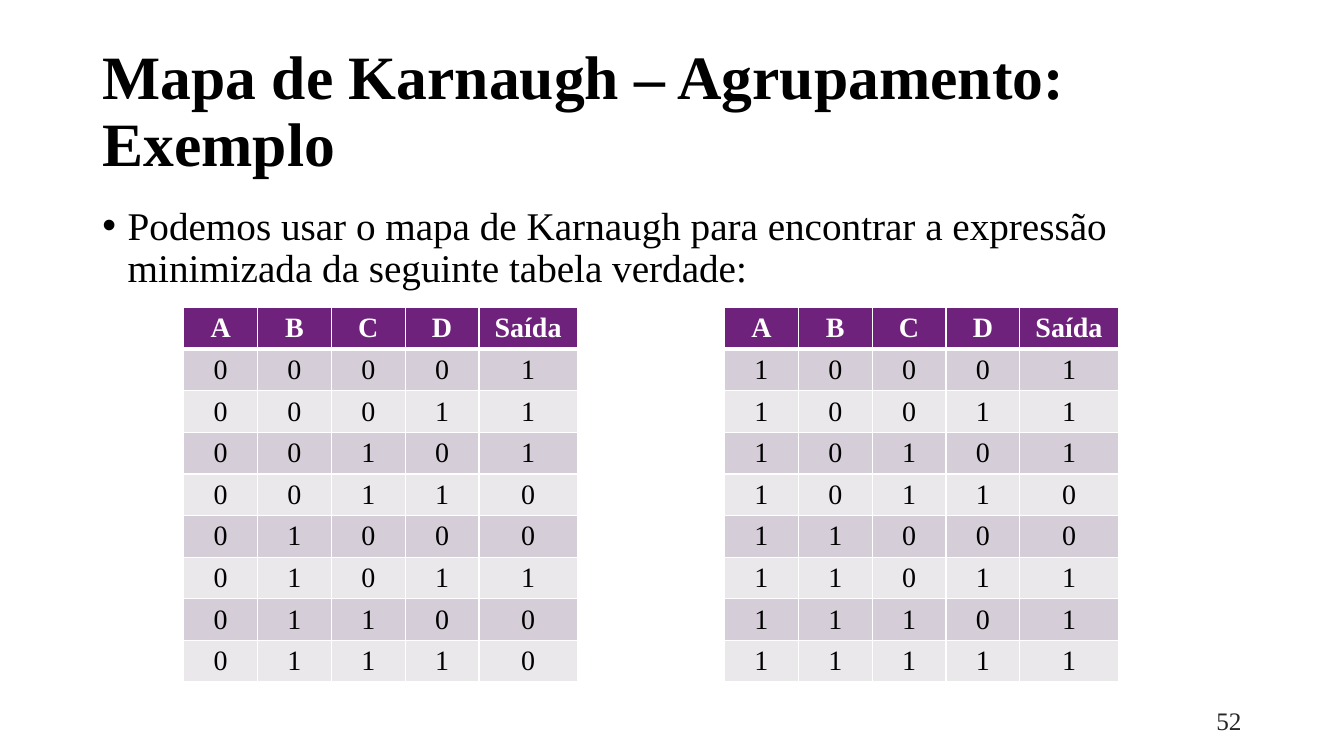
"""Builds the Karnaugh map slide with its two truth tables."""
from dataclasses import dataclass
from itertools import product

from lxml.etree import SubElement as Sub
from pptx import Presentation
from pptx.dml.color import RGBColor as Rgb
from pptx.enum.text import MSO_ANCHOR as Anchor, MSO_AUTO_SIZE as Fit, PP_ALIGN as Align
from pptx.oxml.ns import qn
from pptx.util import Cm, Pt


@dataclass(frozen=True)
class Theme:
    face: str = "Times New Roman"
    black: str = "000000"
    white: str = "FFFFFF"
    gray: str = "262626"
    head: str = "6F227C"
    bands: tuple = ("D5CDD7", "EBE8EC")
    title: int = 44
    body: int = 28
    cell: int = 20
    page: int = 18


class Deck:
    def __init__(self, theme, slide):
        self.theme, self.slide = theme, slide

    def label(self, frame, text, size, color, bold=False, align=Align.LEFT):
        para = frame.paragraphs[0]
        para.text, para.alignment = text, align
        font = para.font
        font.name, font.size, font.bold = self.theme.face, Pt(size), bold
        font.color.rgb = Rgb.from_string(color)
        return para

    def title(self, text, box):
        shape = self.slide.shapes.title
        shape.left, shape.top, shape.width, shape.height = map(Cm, box)
        frame = shape.text_frame
        frame.word_wrap, frame.auto_size = True, Fit.NONE
        frame.vertical_anchor = Anchor.MIDDLE
        para = self.label(frame, text, self.theme.title, self.theme.black, True)
        para.line_spacing = 0.9

    def text(self, text, box, size, color, align=Align.LEFT, anchor=Anchor.TOP):
        frame = self.slide.shapes.add_textbox(*map(Cm, box)).text_frame
        frame.word_wrap, frame.vertical_anchor = True, anchor
        return self.label(frame, text, size, color, align=align)

    def bullet(self, text, box):
        para = self.text(text, box, self.theme.body, self.theme.black)
        para.line_spacing, para.space_before = 0.9, Pt(10)
        props = para._p.get_or_add_pPr()
        props.set("marL", str(Cm(0.64)))
        props.set("indent", str(-Cm(0.64)))
        Sub(props, qn("a:buFont"), typeface="Arial")
        Sub(props, qn("a:buChar"), char="•")

    def edge(self, cell, side, width):
        props = cell._tc.get_or_add_tcPr()
        line = Sub(props, qn(f"a:ln{side}"), w=str(Pt(width)))
        Sub(Sub(line, qn("a:solidFill")), qn("a:srgbClr"), val=self.theme.white)

    def table(self, rows, left, top, cols, height):
        theme = self.theme
        grid = self.slide.shapes.add_table(
            len(rows), len(cols), Cm(left), Cm(top),
            Cm(sum(cols)), Cm(height * len(rows))).table
        for col, width in zip(grid.columns, cols):
            col.width = Cm(width)
        for i, row in enumerate(rows):
            grid.rows[i].height = Cm(height)
            head = i == 0
            fill = theme.head if head else theme.bands[(i - 1) % 2]
            color = theme.white if head else theme.black
            for j, text in enumerate(row):
                cell = grid.cell(i, j)
                cell.margin_top = cell.margin_bottom = Cm(0.1)
                cell.vertical_anchor = Anchor.MIDDLE
                for side in "LRTB":
                    thick = (head and side == "B") or (i == 1 and side == "T")
                    self.edge(cell, side, 3 if thick else 1)
                cell.fill.solid()
                cell.fill.fore_color.rgb = Rgb.from_string(fill)
                self.label(cell.text_frame, str(text), theme.cell, color, head, Align.CENTER)


def main():
    show = Presentation()
    show.slide_width, show.slide_height = Cm(33.87), Cm(19.05)
    theme = Theme()
    deck = Deck(theme, show.slides.add_slide(show.slide_layouts[5]))

    deck.title("Mapa de Karnaugh – Agrupamento: Exemplo", (2.33, 1.01, 29.21, 3.68))
    deck.bullet("Podemos usar o mapa de Karnaugh para encontrar a expressão "
                "minimizada da seguinte tabela verdade:", (2.33, 5.07, 29.21, 2.5))
    deck.text("52", (23.92, 17.66, 7.62, 1.01), theme.page, theme.gray,
              Align.RIGHT, Anchor.MIDDLE)

    names = ("A", "B", "C", "D", "Saída")
    halves = ((0, 4.63, "11100100"), (1, 18.26, "11100111"))
    for first, left, outs in halves:
        bits = product((0, 1), repeat=3)
        rows = [names] + [(first, *trio, out) for trio, out in zip(bits, outs)]
        deck.table(rows, left, 7.75, [1.86] * 4 + [2.48], 1.04)

    show.save("out.pptx")


if __name__ == "__main__":
    main()
